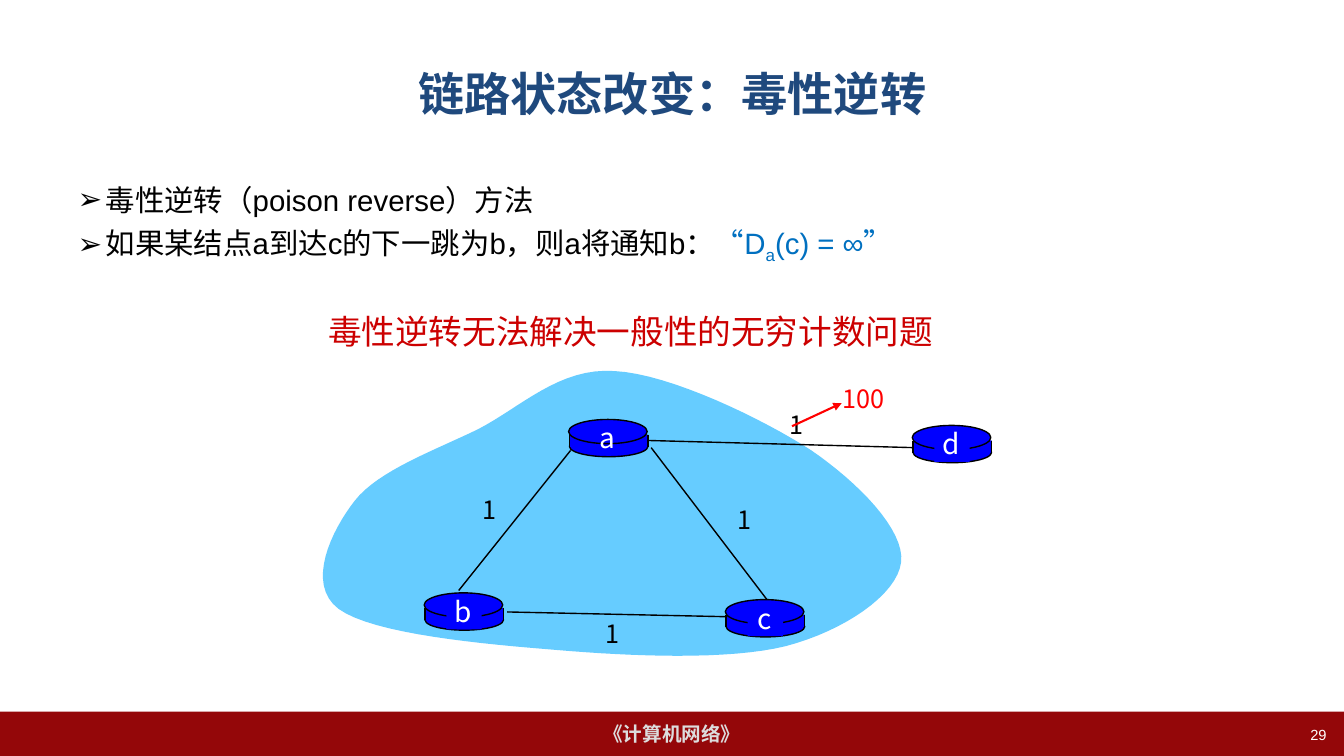
import pptx
import pptx.util
import pptx.dml.color
import pptx.enum.shapes
import pptx.enum.text
import pptx.oxml.ns
import lxml.etree
from dataclasses import dataclass

Cm = pptx.util.Cm
Kind = pptx.enum.shapes.MSO_SHAPE
Align = pptx.enum.text.PP_ALIGN
Anchor = pptx.enum.text.MSO_ANCHOR

# Content, lengths in cm
TITLE = "链路状态改变：毒性逆转"
BODY = [
    [("毒性逆转（poison reverse）方法", "black", 0)],
    [("如果某结点a到达c的下一跳为b，则a将通知b：", "black", 0),
     ("“D", "blue", 0), ("a", "blue", -25), ("(c) = ∞”", "blue", 0)],
]
CLAIM = "毒性逆转无法解决一般性的无穷计数问题"
COURSE, PAGE = "《计算机网络》", "29"
NODES = {"a": (14.33, 10.57), "b": (10.69, 14.94),
         "c": (18.28, 15.11), "d": (22.99, 10.72)}
LINKS = [(16.41, 11.28, 19.33, 15.11), (12.78, 15.42, 18.31, 15.54),
         (14.38, 11.35, 11.56, 14.88), (16.36, 11.1, 23.04, 11.28)]
ARROW = (19.96, 10.74, 21.21, 10.16)
COSTS = [("1", 18.76, 13.08, "black"), ("1", 12.33, 12.85, "black"),
         ("1", 15.43, 15.95, "black"), ("1", 20.08, 10.69, "black"),
         ("100", 21.77, 10.03, "red")]
START = (8.94, 12.62)
CURVES = [
    ((9.53, 11.86), (10.95, 11.35), (12.04, 10.82)),
    ((13.13, 10.26), (14.1, 9.25), (15.49, 9.35)),
    ((16.89, 9.42), (19.25, 10.57), (20.45, 11.35)),
    ((21.64, 12.17), (22.81, 13.36), (22.71, 14.17)),
    ((22.61, 14.99), (21.26, 15.9), (19.81, 16.28)),
    ((18.36, 16.64), (15.93, 16.54), (14.05, 16.38)),
    ((12.17, 16.23), (9.4, 15.98), (8.53, 15.34)),
    ((7.7, 14.71), (8.36, 13.36), START),
]


@dataclass
class Theme:
    latin: str = "Arial"
    cjk: str = "Noto Sans CJK SC"
    black: str = "000000"
    white: str = "FFFFFF"
    navy: str = "1F497D"
    blue: str = "0070C0"
    node: str = "0000FF"
    cloud: str = "66CCFF"
    red: str = "FF0000"
    claim: str = "CC0000"
    bar: str = "940709"
    pale: str = "DDDDDD"
    head: float = 33
    lead: float = 24
    body: float = 21
    name: float = 20
    cost: float = 18
    foot: float = 14
    page: float = 10.5


theme = Theme()
deck = pptx.Presentation()
deck.slide_width, deck.slide_height = Cm(33.87), Cm(19.05)
slide = deck.slides.add_slide(deck.slide_layouts[1])
shapes = slide.shapes


def color(name):
    return pptx.dml.color.RGBColor.from_string(getattr(theme, name))


def place(shape, left, top, width, height):
    shape.left, shape.top = Cm(left), Cm(top)
    shape.width, shape.height = Cm(width), Cm(height)


def write(para, text, size, ink="black", font=theme.latin,
          bold=False, align=Align.LEFT, base=0):
    para.alignment = align
    run = para.add_run()
    run.text = text
    run.font.size, run.font.bold = pptx.util.Pt(size), bold
    run.font.color.rgb = color(ink)
    run.font.name = font
    props = run.font._element
    lxml.etree.SubElement(props, pptx.oxml.ns.qn("a:ea"), typeface=theme.cjk)
    if base:
        props.set("baseline", str(base * 1000))


def label(text, x, y, width, height, size, wrap=False, **form):
    """Add a text box centred on x, y."""
    box = shapes.add_textbox(Cm(x - width / 2), Cm(y - height / 2),
                             Cm(width), Cm(height))
    frame = box.text_frame
    frame.word_wrap = wrap
    frame.vertical_anchor = Anchor.MIDDLE
    write(frame.paragraphs[0], text, size, **form)
    return frame.paragraphs[0]


def paint(shape, fill, edge=None):
    shape.shadow.inherit = False
    shape.fill.solid()
    shape.fill.fore_color.rgb = color(fill)
    if edge:
        shape.line.color.rgb = color(edge)
        shape.line.width = pptx.util.Pt(1)
    else:
        shape.line.fill.background()


def block(kind, left, top, width, height, fill, edge=None):
    shape = shapes.add_shape(kind, Cm(left), Cm(top), Cm(width), Cm(height))
    paint(shape, fill, edge)
    return shape


def join(x1, y1, x2, y2, ink="black", width=1, tip=False):
    line = shapes.add_connector(pptx.enum.shapes.MSO_CONNECTOR.STRAIGHT,
                                Cm(x1), Cm(y1), Cm(x2), Cm(y2))
    line.line.color.rgb = color(ink)
    line.line.width = pptx.util.Pt(width)
    if tip:
        lxml.etree.SubElement(line.line._get_or_add_ln(),
                              pptx.oxml.ns.qn("a:tailEnd"), type="triangle")
    lxml.etree.SubElement(line._element.spPr, pptx.oxml.ns.qn("a:effectLst"))


def bend(p, q, r, s, steps=16):
    """Points along a cubic curve, without its first point."""
    for i in range(1, steps + 1):
        t = i / steps
        u = 1 - t
        yield tuple(Cm(u**3 * a + 3 * u * u * t * b + 3 * u * t * t * c + t**3 * d)
                    for a, b, c, d in zip(p, q, r, s))


def router(name, x, y):
    wide = 1.98
    block(Kind.OVAL, x + 0.02, y + 0.42, wide, 0.52, "node", "black")
    block(Kind.RECTANGLE, x + 0.02, y + 0.38, wide, 0.31, "node")
    for side in (x + 0.02, x + 0.02 + wide):
        join(side, y + 0.38, side, y + 0.69)
    block(Kind.OVAL, x, y, wide, 0.61, "node", "black")
    if name != "a":
        block(Kind.RECTANGLE, x + 0.56, y + 0.08, 0.89, 0.84, "node")
    label(name, x + 0.99, y + 0.46, 0.95, 1.12, theme.name,
          ink="white", font=theme.cjk, align=Align.CENTER)


# Footer bar
bar = block(Kind.RECTANGLE, 0, 17.93, 33.87, 1.12, "bar")
bar.text_frame.vertical_anchor = Anchor.MIDDLE
write(bar.text_frame.paragraphs[0], COURSE, theme.foot, ink="pale",
      bold=True, align=Align.CENTER)
label(PAGE, 29.73, 18.52, 7.9, 0.89, theme.page, wrap=True,
      ink="white", align=Align.RIGHT)

# Title
title = shapes.title
place(title, 1.7, 0.76, 30.48, 3.18)
title.text_frame.vertical_anchor = Anchor.MIDDLE
write(title.text_frame.paragraphs[0], TITLE, theme.head, ink="navy",
      bold=True, align=Align.CENTER)

# Bullet list
body = slide.placeholders[1]
place(body, 1.7, 4.45, 30.48, 12.57)
frame = body.text_frame
frame.auto_size = pptx.enum.text.MSO_AUTO_SIZE.NONE
for i, runs in enumerate(BODY):
    para = frame.add_paragraph() if i else frame.paragraphs[0]
    props = para._p.get_or_add_pPr()
    props.set("marL", str(Cm(0.71)))
    props.set("indent", str(-Cm(0.71)))
    lxml.etree.SubElement(props, pptx.oxml.ns.qn("a:buChar"), char="➢")
    para.space_before = pptx.util.Pt(5.5 if i else 0)
    for text, ink, base in runs:
        write(para, text, theme.body, ink=ink, base=base)

# Network cloud
pen = shapes.build_freeform(*map(Cm, START))
begin = START
for first, second, end in CURVES:
    pen.add_line_segments(bend(begin, first, second, end), close=False)
    begin = end
pen.add_line_segments([], close=True)
paint(pen.convert_to_shape(), "cloud")

# Links, routers and costs
for link in LINKS:
    join(*link)
for name, spot in NODES.items():
    router(name, *spot)
for cost, x, y, ink in COSTS:
    label(cost, x, y, 0.55 + 0.36 * len(cost), 1.02, theme.cost,
          ink=ink, font=theme.cjk, align=Align.CENTER)
join(*ARROW, ink="red", width=1.5, tip=True)

# Claim above the cloud
claim = label(CLAIM, 15.89, 8.43, 22.02, 1.07, theme.lead, wrap=True,
              ink="claim", font=theme.cjk, align=Align.CENTER)
claim.line_spacing = 0.8

deck.save("out.pptx")
